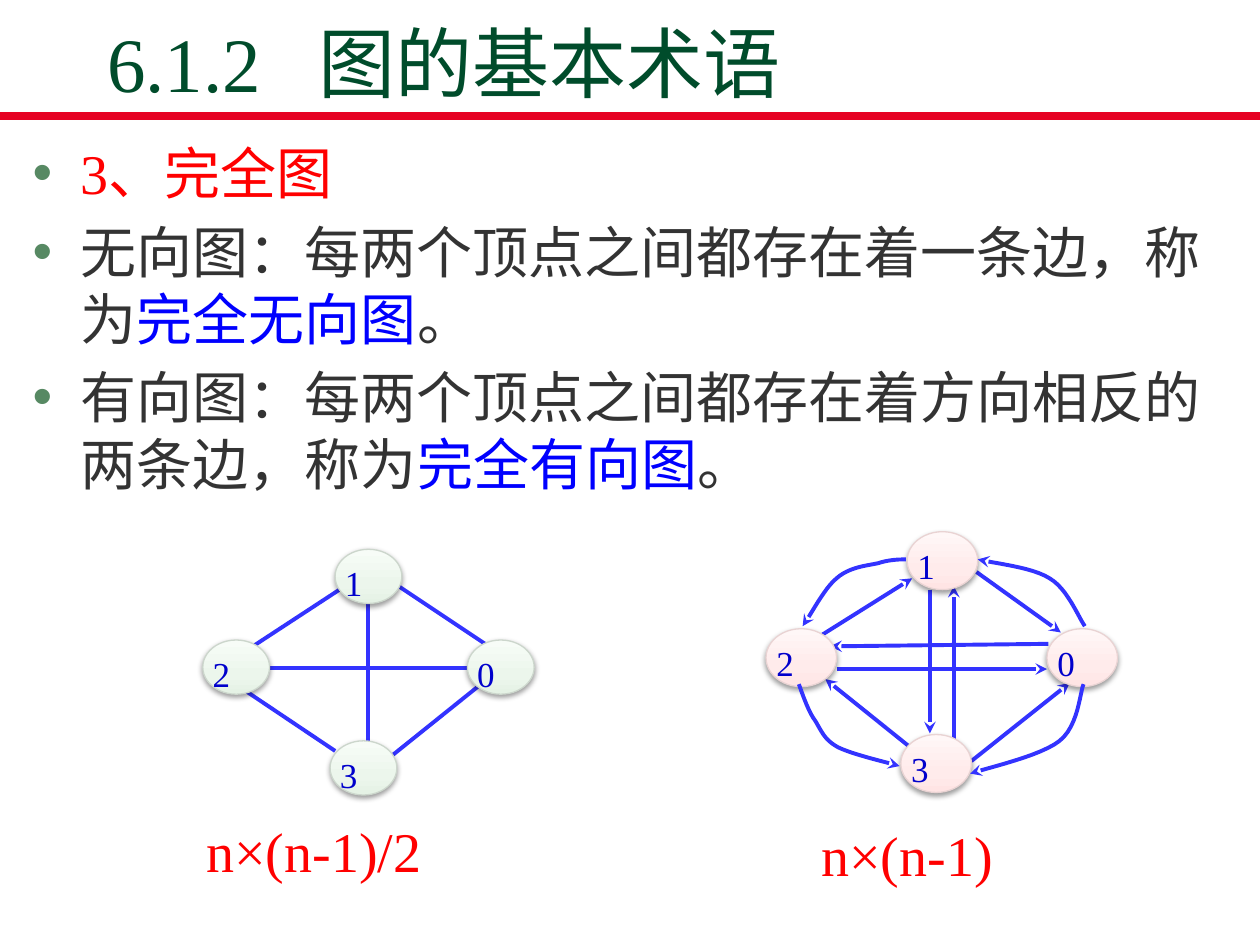
from lxml.etree import SubElement
from pptx import Presentation
from pptx.dml.color import RGBColor
from pptx.enum.shapes import MSO_CONNECTOR, MSO_SHAPE
from pptx.enum.text import MSO_ANCHOR, MSO_AUTO_SIZE, PP_ALIGN
from pptx.oxml.ns import qn
from pptx.util import Inches, Pt

COLORS = {
    "rule": "E60223", "title": "004C2B", "bullet": "578963", "text": "333333",
    "term": "0000FF", "red": "FF0000", "edge": "3333FF", "label": "0000CC",
    "shadow": "000000",
}
GREEN_NODE = {"stops": ((0, "E5F2E5"), (35, "ECF6EC"), (100, "F7FCF7")), "line": "CCD6CC"}
PINK_NODE = {"stops": ((0, "FFE4E4"), (35, "FFEBEB"), (100, "FFF7F7")), "line": "E9D3D3"}

DEFINITIONS = [
    [("3、完全图", "red")],
    [("无向图：每两个顶点之间都存在着一条边，称为", "text"), ("完全无向图", "term"), ("。", "text")],
    [("有向图：每两个顶点之间都存在着方向相反的两条边，称为", "text"),
     ("完全有向图", "term"), ("。", "text")],
]

# Graph geometry in inches, measured from the top left corner of each graph.
UNDIRECTED = {
    "nodes": {"1": (1.05, 0), "0": (2.1, 0.72), "2": (0, 0.72), "3": (1.01, 1.52)},
    "node_size": (0.53, 0.43),
    "edges": [
        ((1.13, 0.29), (0.32, 0.82)), ((0.26, 1.07), (1.05, 1.6)),
        ((1.51, 1.63), (2.22, 1.06)), ((1.46, 0.23), (2.27, 0.77)),
        ((0.26, 0.94), (2.36, 0.94)), ((1.31, 0.42), (1.31, 1.7)),
    ],
    "curves": [],
}
DIRECTED = {
    "nodes": {"1": (1.12, 0), "0": (2.23, 0.77), "2": (0, 0.77), "3": (1.07, 1.61)},
    "node_size": (0.56, 0.46),
    "edges": [
        ((1.3, 0.46), (1.3, 1.6)), ((1.49, 1.79), (1.49, 0.43)),
        ((2.24, 0.89), (0.51, 0.91)), ((0.56, 1.09), (2.23, 1.09)),
        ((1.28, 1.82), (0.47, 1.17)), ((1.63, 1.82), (2.41, 1.2)),
        ((1.67, 0.32), (2.34, 0.8)), ((0.41, 0.84), (1.16, 0.37)),
    ],
    # Start point, then two control points and an end point for each Bezier piece.
    "curves": [
        [(2.52, 1.21), (2.49, 1.28), (2.48, 1.54), (2.33, 1.66),
         (2.18, 1.78), (1.77, 1.87), (1.62, 1.92)],
        [(1.11, 0.22), (1.07, 0.22), (0.98, 0.22), (0.89, 0.25), (0.8, 0.27),
         (0.66, 0.28), (0.56, 0.37), (0.46, 0.45), (0.35, 0.67), (0.29, 0.75)],
        [(0.26, 1.21), (0.28, 1.26), (0.33, 1.42), (0.39, 1.5), (0.44, 1.58),
         (0.46, 1.65), (0.57, 1.71), (0.69, 1.77), (0.96, 1.83), (1.06, 1.86)],
        [(2.53, 0.75), (2.48, 0.68), (2.39, 0.45), (2.25, 0.37),
         (2.11, 0.28), (1.8, 0.25), (1.68, 0.22)],
    ],
}


def rgb(name):
    return RGBColor.from_string(COLORS.get(name, name))


def add_run(paragraph, text, *, size, color, font="Times New Roman"):
    run = paragraph.add_run()
    run.text = text
    run.font.size = Pt(size)
    run.font.name = font
    run.font.color.rgb = rgb(color)


def place(shape, left, top, width, height):
    shape.left, shape.top = Inches(left), Inches(top)
    shape.width, shape.height = Inches(width), Inches(height)


def style_line(shape, *, color, width, arrow=False):
    """Colour a line, clear its shadow and optionally point its end."""
    shape.line.color.rgb = rgb(color)
    shape.line.width = Pt(width)
    properties = shape._element.spPr
    if arrow:
        SubElement(properties.find(qn("a:ln")), qn("a:tailEnd"), type="stealth")
    SubElement(properties, qn("a:effectLst"))


def add_line(shapes, start, end, **style):
    points = [Inches(value) for value in (*start, *end)]
    style_line(shapes.add_connector(MSO_CONNECTOR.STRAIGHT, *points), **style)


def bezier_points(controls, steps=12):
    """Points along a chain of cubic Bezier pieces."""
    points = [controls[0]]
    for first in range(0, len(controls) - 1, 3):
        piece = controls[first:first + 4]
        for step in range(1, steps + 1):
            t = step / steps
            weights = ((1 - t) ** 3, 3 * t * (1 - t) ** 2, 3 * t * t * (1 - t), t ** 3)
            points.append(tuple(sum(w * p[axis] for w, p in zip(weights, piece))
                                for axis in (0, 1)))
    return points


def add_curve(shapes, controls, **style):
    points = [(Inches(x), Inches(y)) for x, y in bezier_points(controls)]
    builder = shapes.build_freeform(*points[0])
    builder.add_line_segments(points[1:], close=False)
    curve = builder.convert_to_shape()
    curve.fill.background()
    style_line(curve, **style)


def shade_node(node, look):
    node.fill.gradient()
    node.fill.gradient_angle = 90
    stops = node._element.spPr.find(qn("a:gradFill")).find(qn("a:gsLst"))
    for old_stop in list(stops):
        stops.remove(old_stop)
    for percent, color in look["stops"]:
        stop = SubElement(stops, qn("a:gs"), pos=str(percent * 1000))
        SubElement(stop, qn("a:srgbClr"), val=color)
    node.line.color.rgb = rgb(look["line"])
    node.line.width = Pt(0.75)
    node.shadow.inherit = False
    effects = node._element.spPr.find(qn("a:effectLst"))
    shadow = SubElement(effects, qn("a:outerShdw"), blurRad=str(Pt(3.1)),
                        dist=str(Pt(1.6)), dir="5400000", rotWithShape="0")
    color = SubElement(shadow, qn("a:srgbClr"), val=COLORS["shadow"])
    SubElement(color, qn("a:alpha"), val="38000")


def add_node(shapes, label, left, top, size, look):
    node = shapes.add_shape(MSO_SHAPE.OVAL, *map(Inches, (left, top, *size)))
    shade_node(node, look)
    frame = node.text_frame
    frame.word_wrap = True
    frame.vertical_anchor = MSO_ANCHOR.TOP
    frame.margin_left = frame.margin_right = frame.margin_bottom = 0
    frame.margin_top = Inches(0.12)
    paragraph = frame.paragraphs[0]
    paragraph.alignment = PP_ALIGN.LEFT
    paragraph.line_spacing = 0.72
    add_run(paragraph, label, size=20, color="label")


def add_graph(slide, left, top, graph, look, arrow):
    shapes = slide.shapes.add_group_shape().shapes
    style = {"color": "edge", "width": 2.25, "arrow": arrow}

    def shift(points):
        return [(left + x, top + y) for x, y in points]

    for edge in graph["edges"]:
        add_line(shapes, *shift(edge), **style)
    for label, (x, y) in graph["nodes"].items():
        add_node(shapes, label, left + x, top + y, graph["node_size"], look)
    for curve in graph["curves"]:
        add_curve(shapes, shift(curve), **style)


def fill_title(title, *box):
    place(title, *box)
    frame = title.text_frame
    frame.auto_size = MSO_AUTO_SIZE.NONE
    frame.vertical_anchor = MSO_ANCHOR.BOTTOM
    paragraph = frame.paragraphs[0]
    paragraph.alignment = PP_ALIGN.LEFT
    tabs = SubElement(paragraph._p.get_or_add_pPr(), qn("a:tabLst"))
    SubElement(tabs, qn("a:tab"), pos=str(Inches(1.68)), algn="l")
    add_run(paragraph, "6.1.2\t图的基本术语", size=44, color="title")


def fill_definitions(body, *box):
    place(body, *box)
    frame = body.text_frame
    frame.auto_size = MSO_AUTO_SIZE.NONE
    for index, parts in enumerate(DEFINITIONS):
        paragraph = frame.add_paragraph() if index else frame.paragraphs[0]
        paragraph.space_before = Pt(6.4 if index else 0)
        properties = paragraph._p.get_or_add_pPr()
        properties.set("marL", str(Inches(0.38)))
        properties.set("indent", str(Inches(-0.38)))
        bullet_color = SubElement(properties, qn("a:buClr"))
        SubElement(bullet_color, qn("a:srgbClr"), val=COLORS["bullet"])
        SubElement(properties, qn("a:buChar"), char="•")
        for text, color in parts:
            add_run(paragraph, text, size=32, color=color)


def add_formula(slide, text, *box):
    frame = slide.shapes.add_textbox(*map(Inches, box)).text_frame
    frame.word_wrap = True
    add_run(frame.paragraphs[0], text, size=32, color="red")


def main():
    presentation = Presentation()
    presentation.slide_width, presentation.slide_height = Inches(10), Inches(7.5)
    slide = presentation.slides.add_slide(presentation.slide_layouts[1])
    add_line(slide.shapes, (0, 0.92), (10, 0.92), color="rule", width=4.5)
    fill_title(slide.shapes.title, 0.75, 0.26, 8.5, 0.65)
    fill_definitions(slide.placeholders[1], 0.16, 1.05, 9.8, 3.02)
    add_graph(slide, 1.61, 4.36, UNDIRECTED, GREEN_NODE, arrow=False)
    add_graph(slide, 6.08, 4.22, DIRECTED, PINK_NODE, arrow=True)
    add_formula(slide, "n×(n-1)/2", 1.54, 6.43, 2.43, 0.7)
    add_formula(slide, "n×(n-1)", 6.42, 6.46, 2.56, 0.83)
    presentation.save("out.pptx")


if __name__ == "__main__":
    main()
